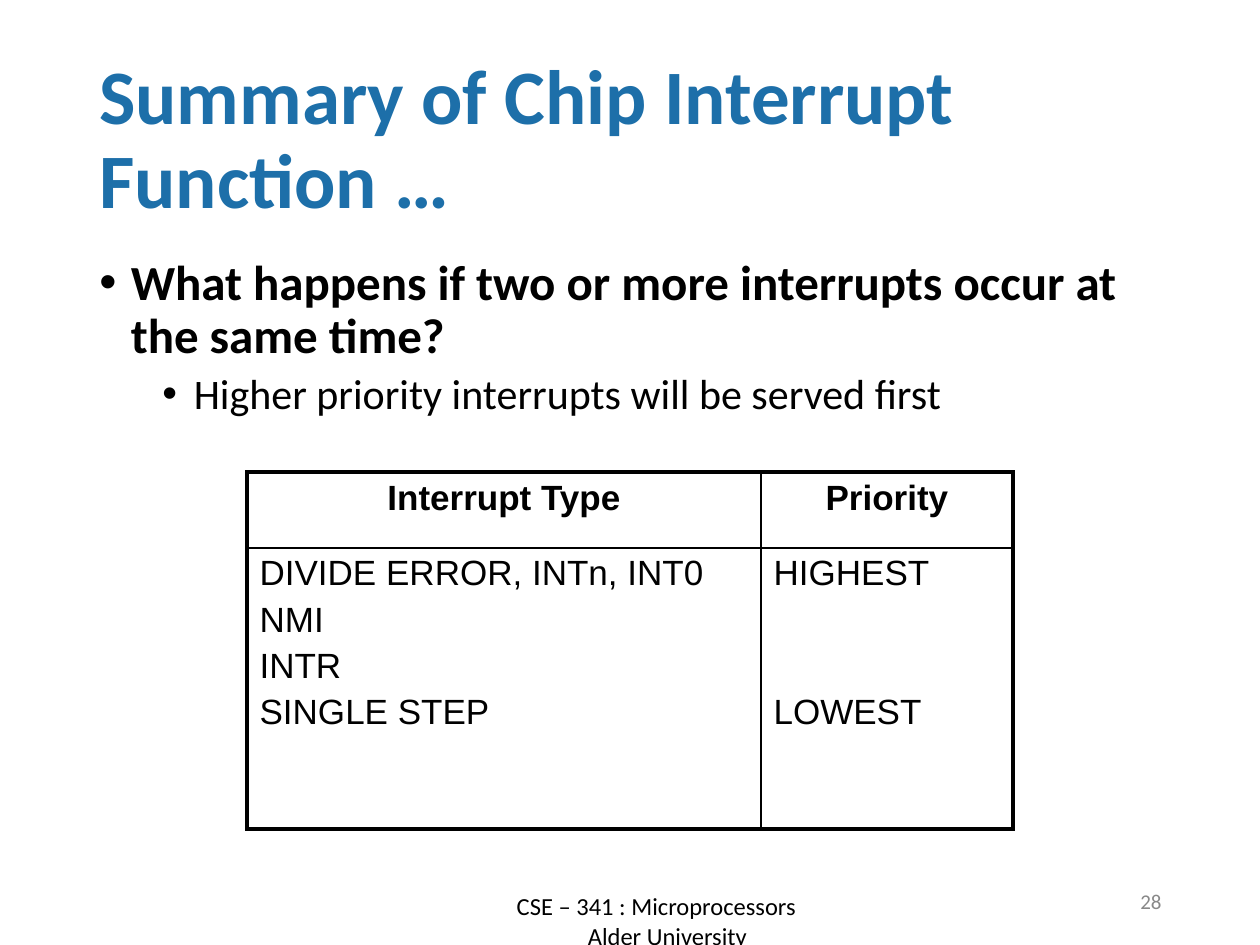
from lxml import etree
from pptx import Presentation
from pptx import util as u
from pptx.dml.color import RGBColor
from pptx.enum import text
from pptx.oxml import parse_xml
from pptx.oxml.ns import qn

SCALE = 914400 / 126  # EMU per px
BLACK = "000000"
ALIGN = text.PP_ALIGN
ANCHOR = text.MSO_ANCHOR
NAMESPACE = "http://schemas.openxmlformats.org/drawingml/2006/main"


def px(length):
    return u.Emu(round(length * SCALE))


def write(frame, lines, size, color=BLACK, name="Calibri", bold=False, **layout):
    """Fill a text frame with (text, paragraph format) pairs; return the paragraphs."""
    frame.word_wrap = True
    for index, (words, extra) in enumerate(lines):
        paragraph = frame.paragraphs[0] if index == 0 else frame.add_paragraph()
        for key, value in {**layout, **extra}.items():
            setattr(paragraph, key, value)
        run = paragraph.add_run()
        run.text = words
        for key, value in {"size": u.Pt(size), "name": name, "bold": bold}.items():
            setattr(run.font, key, value)
        run.font.color.rgb = RGBColor.from_string(color)
    return frame.paragraphs


presentation = Presentation()
presentation.slide_width, presentation.slide_height = px(1260), px(945)
slide = presentation.slides.add_slide(presentation.slide_layouts[6])

# Title, body, slide number and footer
boxes = {
    "title": (87, 50, 1086, 183, ANCHOR.MIDDLE),
    "body": (87, 252, 1086, 600, ANCHOR.TOP),
    "number": (890, 876, 284, 50, ANCHOR.MIDDLE),
    "footer": (231, 885, 851, 50, ANCHOR.TOP),
}
frames = {}
for role, (left, top, width, height, anchor) in boxes.items():
    box = slide.shapes.add_textbox(px(left), px(top), px(width), px(height))
    box.text_frame.vertical_anchor = anchor
    frames[role] = box.text_frame

write(frames["title"], [("Summary of Chip Interrupt Function …", {})],
      44, "1D6FA9", bold=True, line_spacing=0.9)
write(frames["number"], [("28", {})], 12, "888888", alignment=ALIGN.RIGHT)
footer = write(frames["footer"], [("CSE – 341 : Microprocessors", {}), ("Alder University", {})],
               14, alignment=ALIGN.CENTER)
footer[1]._p.get_or_add_pPr().set("marL", str(px(22)))

bullets = write(frames["body"], [
    ("What happens if two or more interrupts occur at the same time?", {}),
    ("Higher priority interrupts will be served first", {"level": 1, "space_before": u.Pt(5)}),
], 28, bold=True, line_spacing=0.9)
answer = bullets[1].runs[0].font
answer.size, answer.bold = u.Pt(24), False
for paragraph, margin in zip(bullets, (0.25, 0.75)):
    properties = paragraph._p.get_or_add_pPr()
    properties.set("marL", str(u.Inches(margin)))
    properties.set("indent", str(u.Inches(-0.25)))
    color = etree.SubElement(properties, qn("a:buClr"))
    etree.SubElement(color, qn("a:srgbClr"), val=BLACK)
    etree.SubElement(properties, qn("a:buFont"), typeface="Arial")
    etree.SubElement(properties, qn("a:buChar"), char="•")

# Priority table
columns, rows = (514, 252), (76, 281)
table = slide.shapes.add_table(2, 2, px(247), px(472), px(sum(columns)), px(sum(rows))).table
table.first_row = table.horz_banding = False
for column, width in zip(table.columns, columns):
    column.width = px(width)
for row, height in zip(table.rows, rows):
    row.height = px(height)

gap = {"space_before": u.Pt(4)}
two_lines_lower = {"space_before": u.Pt(56.6)}
interrupts = [("DIVIDE ERROR, INTn, INT0", {}), ("NMI", gap), ("INTR", gap), ("SINGLE STEP", gap)]
contents = [
    [[("Interrupt Type", {})], [("Priority", {})]],
    [interrupts, [("HIGHEST", {}), ("LOWEST", two_lines_lower)]],
]
for r, row in enumerate(contents):
    for c, lines in enumerate(row):
        cell = table.cell(r, c)
        cell.fill.background()
        header = r == 0
        write(cell.text_frame, lines, 20, name="Arial", bold=header,
              alignment=ALIGN.CENTER if header else ALIGN.LEFT)
        outer = {"lnL": c == 0, "lnR": c == 1, "lnT": r == 0, "lnB": r == 1}
        for index, (side, is_outer) in enumerate(outer.items()):
            width = u.Pt(2.25 if is_outer else 1)
            cell._tc.get_or_add_tcPr().insert(index, parse_xml(
                f'<a:{side} xmlns:a="{NAMESPACE}" w="{width}"><a:solidFill>'
                f'<a:srgbClr val="{BLACK}"/></a:solidFill></a:{side}>'))

presentation.save("out.pptx")
